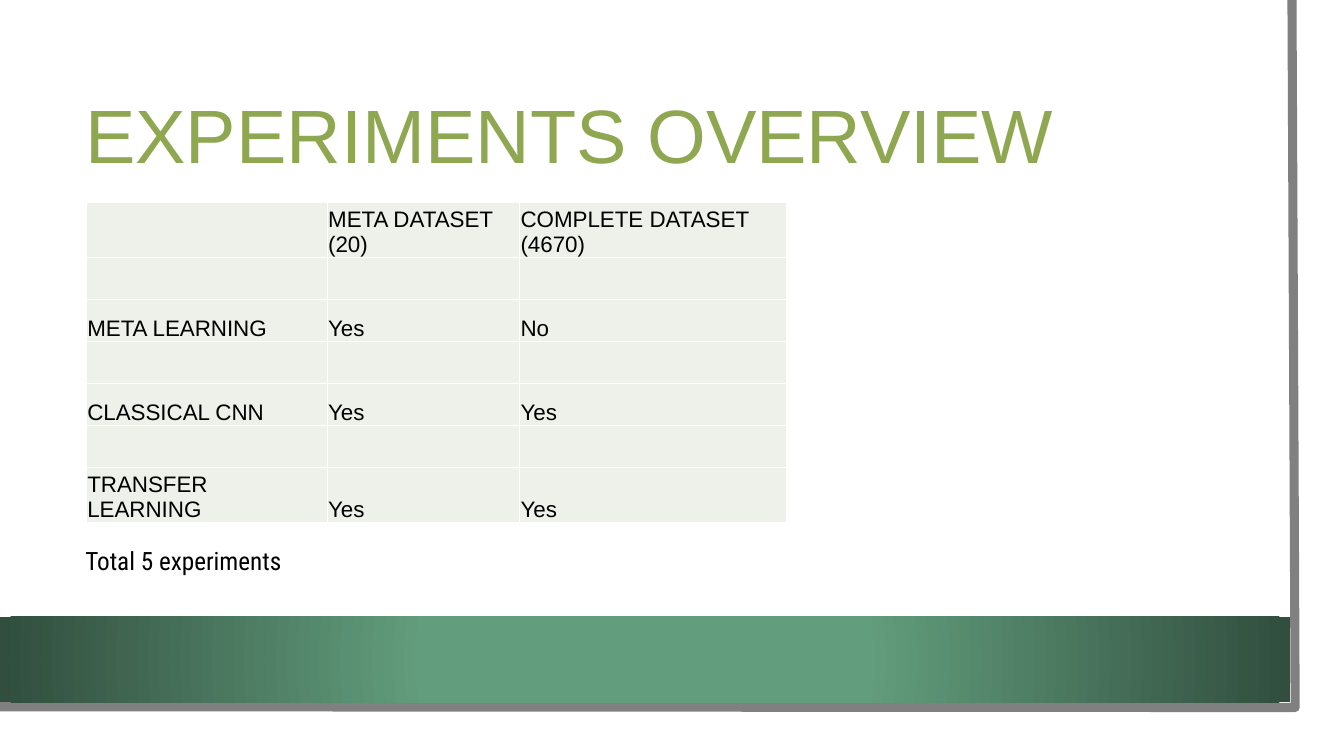
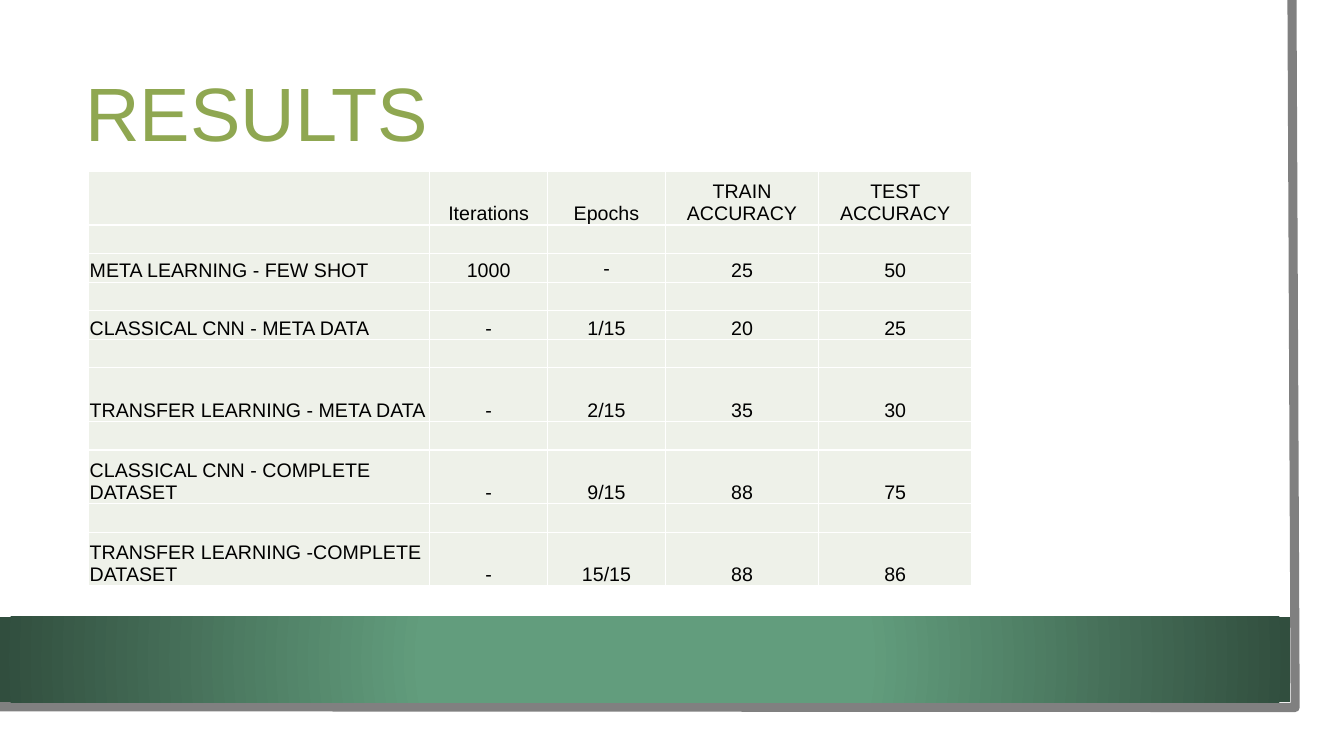
from dataclasses import dataclass

from pptx import Presentation
from pptx.dml.color import RGBColor as RGB
from pptx.enum.shapes import MSO_SHAPE as SHAPE
from pptx.enum.text import MSO_ANCHOR as ANCHOR, PP_ALIGN as ALIGN
from pptx.oxml import parse_xml
from pptx.oxml.ns import nsdecls
from pptx.util import Cm, Pt


@dataclass(frozen=True)
class Theme:
    white: str = "FFFFFF"
    black: str = "000000"
    frame: str = "808080"
    band: str = "629D7D"
    band_edge: str = "314E3E"
    title: str = "8FA751"
    cell: str = "EEF1E9"
    font: str = "Arial"
    note_font: str = "Roboto Condensed"
    title_size: int = 54
    note_size: int = 18
    frame_width: float = 6.5


THEME = Theme()


def rgb(color):
    return RGB.from_string(color)


def style(p, font, size, color):
    p.font.name = font
    p.font.size = Pt(size)
    p.font.bold = False
    p.font.color.rgb = rgb(color)


def add_rect(slide, left, top, width, height):
    s = slide.shapes.add_shape(SHAPE.RECTANGLE, Cm(left), Cm(top), Cm(width), Cm(height))
    s.shadow.inherit = False
    s.line.fill.background()
    return s


def add_panel(slide):
    s = add_rect(slide, 0, 0, 33.27, 18.47)
    s.fill.solid()
    s.fill.fore_color.rgb = rgb(THEME.white)


def add_frame(slide):
    builder = slide.shapes.build_freeform(Cm(32.56), 0)
    corners = [(32.64, 17.83), (-0.08, 17.81)]
    builder.add_line_segments([(Cm(x), Cm(y)) for x, y in corners], close=False)
    s = builder.convert_to_shape()
    s.shadow.inherit = False
    s.fill.background()
    s.line.color.rgb = rgb(THEME.frame)
    s.line.width = Pt(THEME.frame_width)


def add_band(slide):
    s = add_rect(slide, 0, 15.54, 32.51, 2.16)
    s._element.spPr.prstGeom.addnext(parse_xml(
        f'<a:gradFill {nsdecls("a")} rotWithShape="1"><a:gsLst>'
        f'<a:gs pos="34000"><a:srgbClr val="{THEME.band}"/></a:gs>'
        f'<a:gs pos="100000"><a:srgbClr val="{THEME.band_edge}"/></a:gs></a:gsLst>'
        '<a:path path="circle"><a:fillToRect l="50000" t="50000" r="50000" b="50000"/>'
        '</a:path></a:gradFill>'))


def add_text(slide, text, left, top, width, height, font, size, color):
    tf = slide.shapes.add_textbox(Cm(left), Cm(top), Cm(width), Cm(height)).text_frame
    tf.word_wrap = True
    p = tf.paragraphs[0]
    p.text = text
    style(p, font, size, color)
    return tf


def add_title(slide, text, top, height):
    tf = add_text(slide, text, 1.9, top, 28.88, height,
                  THEME.font, THEME.title_size, THEME.title)
    tf.vertical_anchor = ANCHOR.MIDDLE
    tf.paragraphs[0].line_spacing = 0.9


def add_slide(prs, title, top, height):
    slide = prs.slides.add_slide(prs.slide_layouts[6])
    add_panel(slide)
    add_frame(slide)
    add_band(slide)
    add_title(slide, title, top, height)
    return slide


def fill_cell(cell, text, size, align):
    cell.margin_left = cell.margin_right = cell.margin_top = Cm(0.02)
    cell.margin_bottom = 0
    cell.vertical_anchor = ANCHOR.BOTTOM
    tc_pr = cell._tc.get_or_add_tcPr()
    for side in "LRTB":
        tc_pr.append(parse_xml(
            f'<a:ln{side} {nsdecls("a")} w="{Pt(1)}"><a:solidFill>'
            f'<a:srgbClr val="{THEME.white}"/></a:solidFill></a:ln{side}>'))
    cell.fill.solid()
    cell.fill.fore_color.rgb = rgb(THEME.cell)
    p = cell.text_frame.paragraphs[0]
    p.text = text
    p.alignment = align
    style(p, THEME.font, size, THEME.black)
    if not text:
        p._p.get_or_add_endParaRPr().set("sz", str(size * 100))


def add_spaced_table(slide, records, left, top, widths, heights, gap, size, align):
    blank = [""] * len(widths)
    rows = [(records[0], heights[0])]
    for record, height in zip(records[1:], heights[1:]):
        rows += [(blank, gap), (record, height)]
    table = slide.shapes.add_table(
        len(rows), len(widths), Cm(left), Cm(top),
        Cm(sum(widths)), Cm(sum(height for _, height in rows))).table
    table.first_row = table.horz_banding = False
    for column, width in zip(table.columns, widths):
        column.width = Cm(width)
    for i, (record, height) in enumerate(rows):
        table.rows[i].height = Cm(height)
        for j, text in enumerate(record):
            fill_cell(table.cell(i, j), text, size, align if j else ALIGN.LEFT)
    return table


def add_overview(prs):
    slide = add_slide(prs, "EXPERIMENTS OVERVIEW", 1.9, 3.2)
    records = [
        ("", "META DATASET (20)", "COMPLETE DATASET (4670)"),
        ("META LEARNING", "Yes", "No"),
        ("CLASSICAL CNN", "Yes", "Yes"),
        ("TRANSFER LEARNING", "Yes", "Yes"),
    ]
    add_spaced_table(slide, records, 2.18, 5.11, [6.07, 4.85, 6.73],
                     [1.27, 1.06, 1.06, 1.27], 1.06, 16, ALIGN.LEFT)
    add_text(slide, "Total 5 experiments", 1.9, 13.61, 10.62, 1.02,
             THEME.note_font, THEME.note_size, THEME.black)


def add_results(prs):
    slide = add_slide(prs, "RESULTS", 1.8, 2.31)
    records = [
        ("", "Iterations", "Epochs", "TRAIN ACCURACY", "TEST ACCURACY"),
        ("META LEARNING - FEW SHOT", "1000", "-", "25", "50"),
        ("CLASSICAL CNN - META DATA", "-", "1/15", "20", "25"),
        ("TRANSFER LEARNING - META DATA", "-", "2/15", "35", "30"),
        ("CLASSICAL CNN - COMPLETE DATASET", "-", "9/15", "88", "75"),
        ("TRANSFER LEARNING -COMPLETE DATASET", "-", "15/15", "88", "86"),
    ]
    low, tall = 0.72, 1.35
    table = add_spaced_table(slide, records, 2.24, 4.32, [8.59, 2.97, 2.97, 3.86, 3.86],
                             [tall, low, low, tall, tall, tall], low, 14, ALIGN.CENTER)
    table.cell(2, 2).vertical_anchor = ANCHOR.MIDDLE


def main():
    prs = Presentation()
    prs.slide_width, prs.slide_height = Cm(33.87), Cm(19.05)
    add_overview(prs)
    add_results(prs)
    prs.save("out.pptx")


if __name__ == "__main__":
    main()
